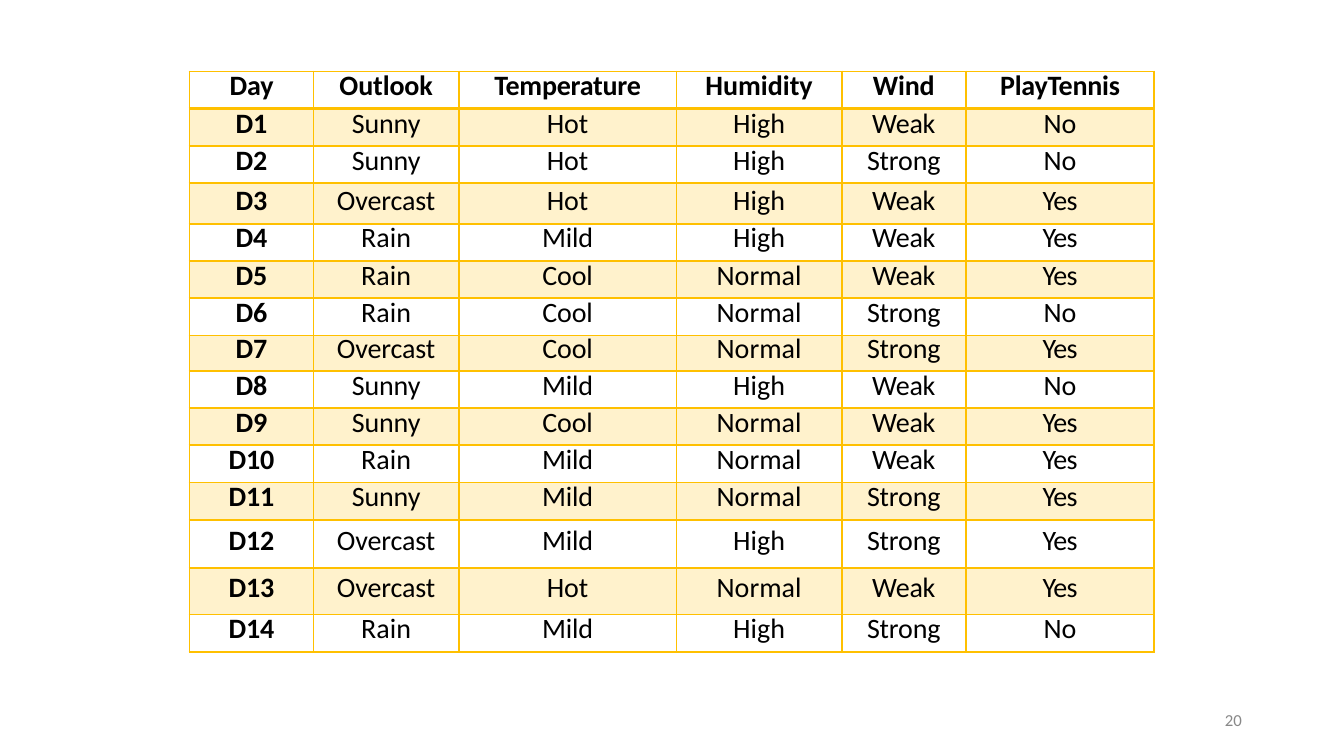
from lxml.etree import SubElement
from pptx import Presentation
from pptx.dml.color import RGBColor
from pptx.enum.text import MSO_ANCHOR, PP_ALIGN
from pptx.oxml import parse_xml
from pptx.oxml.ns import nsdecls, qn
from pptx.util import Emu, Pt

PX = 9144
AMBER = "FFC000"
BLACK = "000000"
GREY = "888888"

COLUMN_WIDTHS = [123, 144, 216, 164, 123, 187]
ROW_HEIGHT = 37
SPECIAL_HEIGHTS = {"D3": 40, "D7": 35, "D12": 48, "D13": 46}
LINE_SPACING = 22.8
SPECIAL_SPACING = {"D7": 22.1}
SPACE_BEFORE = {"D3": 0.1, "D12": 2.8, "D13": 2.3}
TOP_MARGINS = {"D12": 4, "D13": 3}
TRACKING = {"Yes": -50, "Weak": -20, "Temperature": -20, "PlayTennis": -20,
            "No": 0, "High": 0, "Normal": 0, "Humidity": 0, "Rain": 0}

WEATHER = [
    ["Day", "Outlook", "Temperature", "Humidity", "Wind", "PlayTennis"],
    ["D1", "Sunny", "Hot", "High", "Weak", "No"],
    ["D2", "Sunny", "Hot", "High", "Strong", "No"],
    ["D3", "Overcast", "Hot", "High", "Weak", "Yes"],
    ["D4", "Rain", "Mild", "High", "Weak", "Yes"],
    ["D5", "Rain", "Cool", "Normal", "Weak", "Yes"],
    ["D6", "Rain", "Cool", "Normal", "Strong", "No"],
    ["D7", "Overcast", "Cool", "Normal", "Strong", "Yes"],
    ["D8", "Sunny", "Mild", "High", "Weak", "No"],
    ["D9", "Sunny", "Cool", "Normal", "Weak", "Yes"],
    ["D10", "Rain", "Mild", "Normal", "Weak", "Yes"],
    ["D11", "Sunny", "Mild", "Normal", "Strong", "Yes"],
    ["D12", "Overcast", "Mild", "High", "Strong", "Yes"],
    ["D13", "Overcast", "Hot", "Normal", "Weak", "Yes"],
    ["D14", "Rain", "Mild", "High", "Strong", "No"],
]


def px(length):
    return Emu(length * PX)


def color(value):
    return RGBColor.from_string(value)


class SlideBuilder:
    font = "Calibri"

    def __init__(self, deck):
        self.page = deck.slides.add_slide(deck.slide_layouts[6])

    def style(self, para, size, shade, bold=False):
        for span in para.runs:
            span.font.name = self.font
            span.font.size = Pt(size)
            span.font.bold = bold
            span.font.color.rgb = color(shade)

    def text(self, words, left, top, width, height, size, shade):
        box = self.page.shapes.add_textbox(px(left), px(top), px(width), px(height))
        frame = box.text_frame
        frame.word_wrap = True
        frame.margin_left = px(3)
        frame.margin_top = frame.margin_right = frame.margin_bottom = 0
        frame.text = words
        para = frame.paragraphs[0]
        para.line_spacing = Pt(12.4)
        self.style(para, size, shade)

    def table(self, rows, left, top):
        heights = [SPECIAL_HEIGHTS.get(row[0], ROW_HEIGHT) for row in rows]
        grid = self.page.shapes.add_table(
            len(rows), len(COLUMN_WIDTHS), px(left), px(top),
            px(sum(COLUMN_WIDTHS)), px(sum(heights))).table
        grid.first_row = False
        grid.horz_banding = False
        for column, width in zip(grid.columns, COLUMN_WIDTHS):
            column.width = px(width)
        for index, (row, height) in enumerate(zip(rows, heights)):
            grid.rows[index].height = px(height)
            for position, words in enumerate(row):
                cell = grid.cell(index, position)
                self.cell_text(cell, words, row[0], index == 0 or position == 0)
                self.cell_fill(cell, index % 2 == 1)
                self.cell_borders(cell, index)

    def cell_text(self, cell, words, day, bold):
        cell.margin_left = cell.margin_right = cell.margin_bottom = 0
        cell.margin_top = px(TOP_MARGINS.get(day, 0))
        cell.vertical_anchor = MSO_ANCHOR.TOP
        cell.text_frame.text = words
        para = cell.text_frame.paragraphs[0]
        para.alignment = PP_ALIGN.CENTER
        if day in SPACE_BEFORE:
            para.space_before = Pt(SPACE_BEFORE[day])
        else:
            para.line_spacing = Pt(SPECIAL_SPACING.get(day, LINE_SPACING))
        self.style(para, 20, BLACK, bold)
        para.runs[0].font._element.set("spc", str(TRACKING.get(words, -10)))

    def cell_fill(self, cell, shaded):
        if not shaded:
            cell.fill.background()
            return
        cell.fill.solid()
        cell.fill.fore_color.rgb = color(AMBER)
        tint = cell._tc.tcPr.find(".//" + qn("a:srgbClr"))
        SubElement(tint, qn("a:alpha")).set("val", "20000")

    def cell_borders(self, cell, index):
        widths = {"lnL": 1.5, "lnR": 1.5,
                  "lnT": 2.25 if index == 1 else 1.5,
                  "lnB": 2.25 if index == 0 else 1.5}
        for order, (side, width) in enumerate(widths.items()):
            cell._tc.tcPr.insert(order, parse_xml(
                f'<a:{side} {nsdecls("a")} w="{Pt(width)}"><a:solidFill>'
                f'<a:srgbClr val="{AMBER}"/></a:solidFill></a:{side}>'))


def main():
    deck = Presentation()
    deck.slide_width = px(1333)
    deck.slide_height = px(750)
    builder = SlideBuilder(deck)
    builder.text("20", 1212, 707, 23, 20, 12, GREY)
    builder.table(WEATHER, 188, 71)
    deck.save("out.pptx")


if __name__ == "__main__":
    main()
